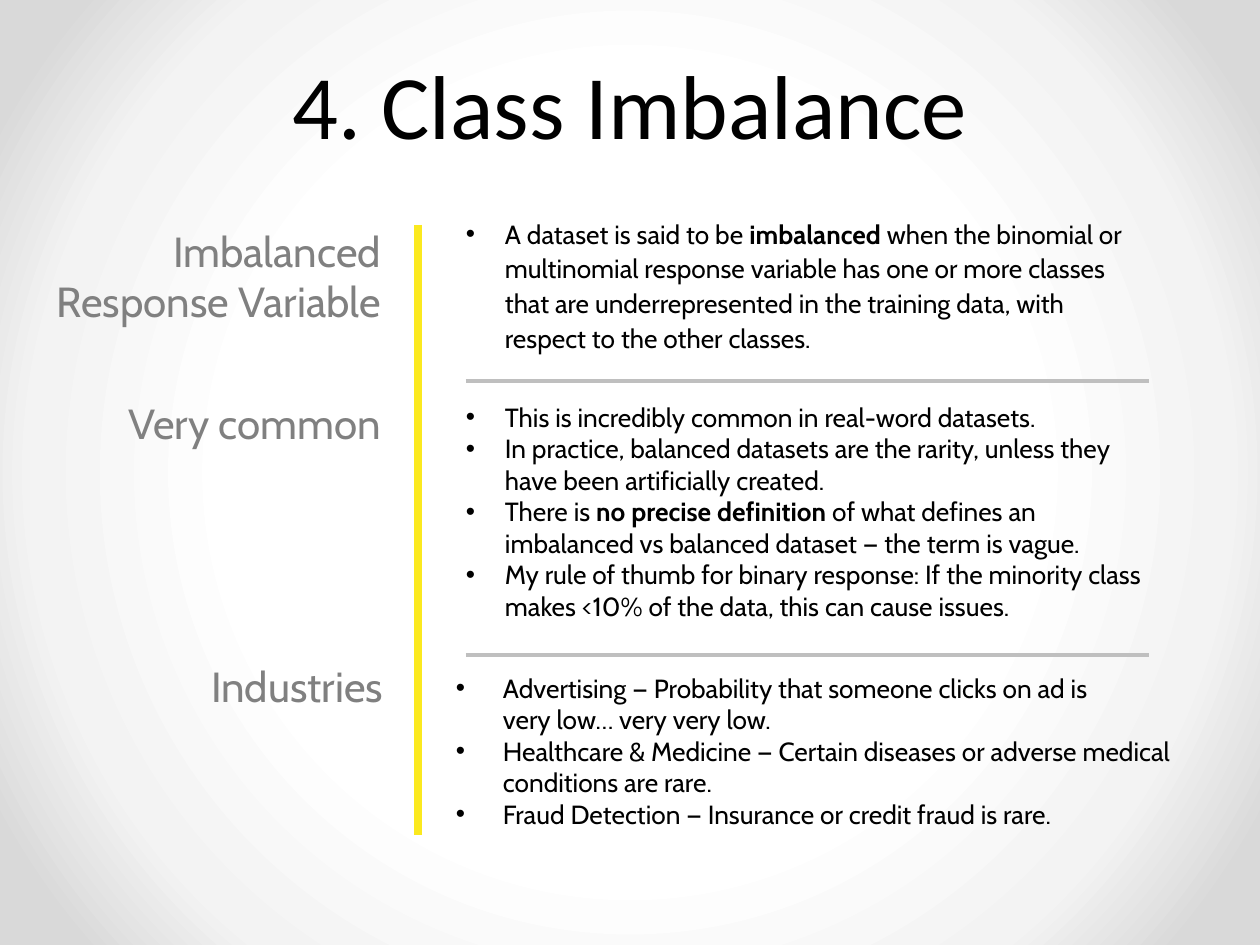
from lxml.etree import SubElement
from pptx import Presentation
from pptx.dml.color import RGBColor
from pptx.enum.shapes import MSO_CONNECTOR as Connector
from pptx.enum.text import MSO_ANCHOR as Anchor, MSO_AUTO_SIZE as AutoSize, PP_ALIGN as Align
from pptx.oxml import parse_xml
from pptx.oxml.ns import nsdecls, qn
from pptx.util import Pt

EMU_PER_PX = 914400 / 126
BLACK, GRAY, RULE_GRAY, YELLOW = "000000", "808080", "BFBFBF", "FBE91F"


def px(length):
    return round(length * EMU_PER_PX)


def color(hex_string):
    return RGBColor.from_string(hex_string)


class SlideBuilder:
    font = "Cabin"
    label_size = 24
    list_size = 15

    def __init__(self, slide):
        self.slide = slide

    def background(self, stops):
        self.slide.background.fill.solid()
        solid = self.slide.background._cSld.find(".//" + qn("a:solidFill"))
        stop_xml = "".join(
            f'<a:gs pos="{percent * 1000}"><a:srgbClr val="{shade}"/></a:gs>'
            for percent, shade in stops)
        gradient = parse_xml(
            f'<a:gradFill {nsdecls("a")} rotWithShape="1"><a:gsLst>{stop_xml}</a:gsLst>'
            '<a:path path="circle"><a:fillToRect l="50000" t="50000" r="50000" b="50000"/>'
            '</a:path></a:gradFill>')
        solid.getparent().replace(solid, gradient)

    def frame(self, box, holder=None, anchor=Anchor.TOP):
        """Place a placeholder, or a new text box, and return its text frame."""
        area = [px(length) for length in box]
        if holder is None:
            holder = self.slide.shapes.add_textbox(*area)
        else:
            holder.left, holder.top, holder.width, holder.height = area
        text = holder.text_frame
        text.margin_left = text.margin_top = text.margin_right = text.margin_bottom = 0
        text.word_wrap = True
        text.auto_size = AutoSize.NONE
        text.vertical_anchor = anchor
        return text

    def style(self, run, size, shade, font=None, bold=None):
        run.font.name = font or self.font
        run.font.size = Pt(size)
        run.font.color.rgb = color(shade)
        run.font.bold = bold

    def title(self, words, box):
        text = self.frame(box, self.slide.shapes.title, Anchor.BOTTOM)
        text.text = words
        heading = text.paragraphs[0]
        heading.alignment = Align.CENTER
        heading.line_spacing = Pt(55)
        self.style(heading.runs[0], 51.8, BLACK, "Calibri")

    def label(self, words, box, holder=None):
        text = self.frame(box, holder)
        text.text = words
        line = text.paragraphs[0]
        line.alignment = Align.RIGHT
        line.space_before = Pt(5)
        self.bullet(line, 0, None)
        self.style(line.runs[0], self.label_size, GRAY)

    def bullet(self, paragraph, indent, mark):
        properties = paragraph._p.get_or_add_pPr()
        properties.set("marL", str(px(indent)))
        properties.set("indent", str(-px(indent)))
        if mark is None:
            SubElement(properties, qn("a:buNone"))
        else:
            SubElement(properties, qn("a:buFont"), typeface="Arial")
            SubElement(properties, qn("a:buChar"), char=mark)

    def bullets(self, items, box, indent=39, spacing=1.0):
        """Add a bulleted list; words between ** marks are bold."""
        text = self.frame(box)
        for number, item in enumerate(items):
            point = text.add_paragraph() if number else text.paragraphs[0]
            point.line_spacing = spacing
            self.bullet(point, indent, "•")
            for part, words in enumerate(item.split("**")):
                if part:
                    point.add_run().text = words
                else:
                    point.text = words
            emphasized = "**" in item
            for part, run in enumerate(point.runs):
                self.style(run, self.list_size, BLACK, bold=emphasized and part % 2 == 1)

    def line(self, start, end, shade, width):
        rule = self.slide.shapes.add_connector(
            Connector.STRAIGHT, *[px(length) for length in start + end])
        rule.line.color.rgb = color(shade)
        rule.line.width = Pt(width)
        SubElement(rule._element.spPr, qn("a:effectLst"))


def main():
    deck = Presentation()
    deck.slide_width, deck.slide_height = px(1260), px(945)
    slide = deck.slides.add_slide(deck.slide_layouts[1])
    builder = SlideBuilder(slide)
    builder.background([(50, "FFFFFF"), (76, "F3F3F3"), (92, "D9D9D9")])

    # Title
    builder.title("4. Class Imbalance", (63, 47, 1134, 111))

    # Topic labels on the left
    builder.label("Imbalanced Response Variable", (12, 225, 369, 139), slide.placeholders[1])
    builder.label("Very common", (12, 398, 369, 139))
    builder.label("Industries", (14, 661, 369, 139))

    # Explanations on the right
    builder.bullets([
        "A dataset is said to be **imbalanced** when the binomial or multinomial response "
        "variable has one or more classes that are underrepresented in the training data, "
        "with respect to the other classes.",
    ], (466, 215, 683, 149), spacing=1.1)
    builder.bullets([
        "This is incredibly common in real-word datasets.",
        "In practice, balanced datasets are the rarity, unless they have been "
        "artificially created.",
        "There is **no precise definition** of what defines an imbalanced vs balanced "
        "dataset — the term is vague.",
        "My rule of thumb for binary response: If the minority class makes <10% of the "
        "data, this can cause issues.",
    ], (466, 401, 683, 233))
    builder.bullets([
        "Advertising — Probability that someone clicks on ad is\vvery low… very very low.",
        "Healthcare & Medicine — Certain diseases or adverse medical conditions are rare.",
        "Fraud Detection — Insurance or credit fraud is rare.",
    ], (456, 672, 750, 170), indent=47)

    # Divider between the columns and rules between the topics
    builder.line((418, 225), (418, 835), YELLOW, 4.5)
    for height in (381, 655):
        builder.line((466, height), (1149, height), RULE_GRAY, 2)

    deck.save("out.pptx")


if __name__ == "__main__":
    main()
